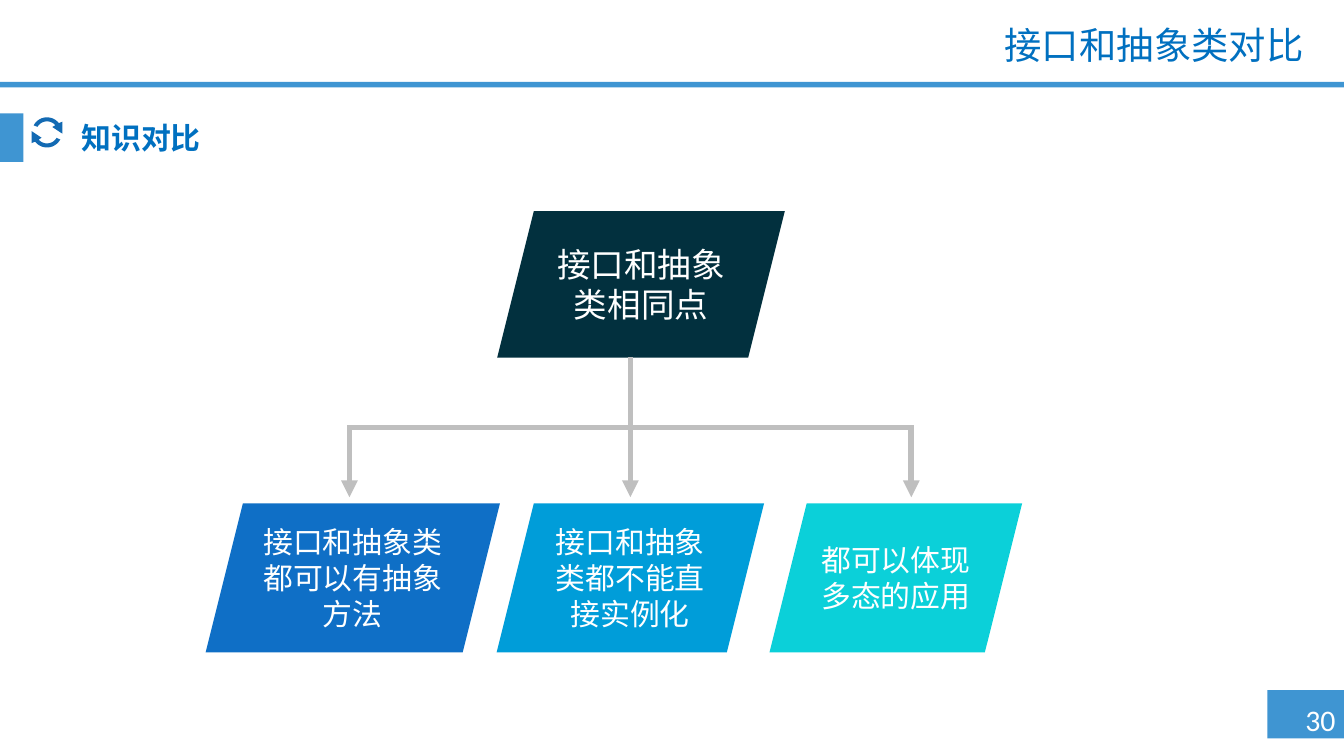
from dataclasses import dataclass
from math import cos, radians, sin

from lxml import etree
from pptx import Presentation
from pptx import util as u
from pptx.dml.color import RGBColor
from pptx.enum import shapes, text
from pptx.oxml.ns import qn

# Square grid: 100 columns by 56.25 rows (16:9)
COLS, ROWS = 100, 56.25
CELL = u.Inches(0.1)

WHITE = RGBColor(0xFF, 0xFF, 0xFF)
BAR = RGBColor(0x3F, 0x95, 0xD2)
HEADING = RGBColor(0x00, 0x70, 0xC0)
ICON = RGBColor(0x13, 0x6A, 0xB3)
ARROW = RGBColor(0xBF, 0xBF, 0xBF)
NAVY = RGBColor(0x02, 0x30, 0x3E)
BLUE = RGBColor(0x0F, 0x6F, 0xC6)
SKY = RGBColor(0x00, 0x9D, 0xD9)
TURQUOISE = RGBColor(0x0B, 0xD0, 0xD9)

RECT = shapes.MSO_SHAPE.RECTANGLE
SLANTED = shapes.MSO_SHAPE.PARALLELOGRAM
ALIGN = text.PP_ALIGN


@dataclass
class Box:
    col: float
    row: float
    width: float
    height: float

    def emu(self) -> tuple[int, ...]:
        return tuple(g(v) for v in (self.col, self.row, self.width, self.height))


@dataclass
class Label:
    text: str
    size: int
    color: RGBColor = WHITE
    font: str = "Calibri"
    align: ALIGN = ALIGN.CENTER
    bold: bool = False
    spacing: float = 1.0
    wrap: bool = True


@dataclass
class Node:
    box: Box
    fill: RGBColor
    label: Label


def g(cells: float) -> int:
    return round(cells * CELL)


def write(sp, label: Label) -> None:
    tf = sp.text_frame
    tf.word_wrap = label.wrap
    tf.vertical_anchor = text.MSO_ANCHOR.MIDDLE
    p = tf.paragraphs[0]
    p.text = label.text
    p.alignment = label.align
    p.line_spacing = label.spacing
    p.font.size = u.Pt(label.size)
    p.font.name = label.font
    p.font.bold = label.bold
    p.font.color.rgb = label.color


def paint(sp, color: RGBColor) -> None:
    sp.shadow.inherit = False
    sp.fill.solid()
    sp.fill.fore_color.rgb = color
    sp.line.fill.background()


def add_block(s, kind, box: Box, color: RGBColor):
    sp = s.shapes.add_shape(kind, *box.emu())
    paint(sp, color)
    return sp


def add_text(s, box: Box, label: Label) -> None:
    write(s.shapes.add_textbox(*box.emu()), label)


def add_refresh_icon(s, cx: float, cy: float) -> None:
    """Two curved arrows, the second turned half way round the centre."""
    def arc(radius: float, angles) -> list[tuple[float, float]]:
        return [(radius * cos(radians(a)), radius * sin(radians(a))) for a in angles]

    head = [(1.15, -0.8), (1.15, 0.1), (0.4, -0.4), (0.65, -0.55)]
    arrow = arc(1.12, range(208, 323, 6)) + head + arc(0.82, range(318, 207, -6))
    turned = [(-x, -y) for x, y in arrow]
    first, second = ([(g(cx + x), g(cy + y)) for x, y in pts] for pts in (arrow, turned))
    builder = s.shapes.build_freeform(*first[0])
    builder.add_line_segments(first[1:])
    builder.move_to(*second[0])
    builder.add_line_segments(second[1:])
    paint(builder.convert_to_shape(), ICON)


def add_down_arrow(s, x1: float, y1: float, x2: float, y2: float) -> None:
    """Elbow that leaves and arrives vertically: a level one turned by 90 degrees."""
    cx, cy = (x1 + x2) / 2, (y1 + y2) / 2
    dx, dy = (x2 - x1) / 2, (y2 - y1) / 2
    line = s.shapes.add_connector(shapes.MSO_CONNECTOR.ELBOW,
                                  g(cx - dy), g(cy + dx), g(cx + dy), g(cy - dx))
    line.line.color.rgb = ARROW
    line.line.width = u.Pt(3)
    props = line._element.spPr
    props.find(qn("a:xfrm")).set("rot", str(90 * 60000))
    stroke = props.find(qn("a:ln"))
    etree.SubElement(stroke, qn("a:miter"), lim="800000")
    etree.SubElement(stroke, qn("a:tailEnd"), type="triangle")
    etree.SubElement(props, qn("a:effectLst"))


CHILD_ROW, CHILD_HEIGHT = 37.45, 11.1
NODES = [
    Node(Box(37, 15.7, 21.4, 10.9), NAVY, Label("接口和抽象类相同点", 18)),
    Node(Box(15.3, CHILD_ROW, 21.9, CHILD_HEIGHT), BLUE,
         Label("接口和抽象类都可以有抽象方法", 16)),
    Node(Box(36.95, CHILD_ROW, 19.9, CHILD_HEIGHT), SKY,
         Label("接口和抽象类都不能直接实例化", 16)),
    Node(Box(57.25, CHILD_ROW, 18.8, CHILD_HEIGHT), TURQUOISE,
         Label("都可以体现多态的应用", 16)),
]


def main() -> None:
    prs = Presentation()
    prs.slide_width, prs.slide_height = g(COLS), g(ROWS)
    s = prs.slides.add_slide(prs.slide_layouts[6])

    # Page frame: number tab, header rule, section tab
    for box in (Box(94.3, 51.35, 5.7, 3.6), Box(0, 6.1, COLS, 0.4),
                Box(0, 8.45, 1.75, 3.6)):
        add_block(s, RECT, box, BAR)
    add_text(s, Box(95.65, 51.7, 5.2, 3.7), Label("30", 16, wrap=False))

    # Headings
    add_text(s, Box(24, 1.5, 74, 4),
             Label("接口和抽象类对比", 20, HEADING, "Arial", ALIGN.RIGHT, spacing=0.9))
    add_text(s, Box(5.1, 8.45, 12.6, 3.9),
             Label("知识对比", 16, HEADING, "Noto Sans CJK SC", ALIGN.LEFT, True, 0.9))
    add_refresh_icon(s, 3.5, 9.85)

    # Tree nodes
    for node in NODES:
        write(add_block(s, SLANTED, node.box, node.fill), node.label)

    # Arrows from the root to its three children
    trunk, reach, top, bottom = 46.9, 20.9, 26.6, 37
    for side in (1, -1, 0):
        add_down_arrow(s, trunk, top, trunk + side * reach, bottom)

    prs.save("out.pptx")


if __name__ == "__main__":
    main()
